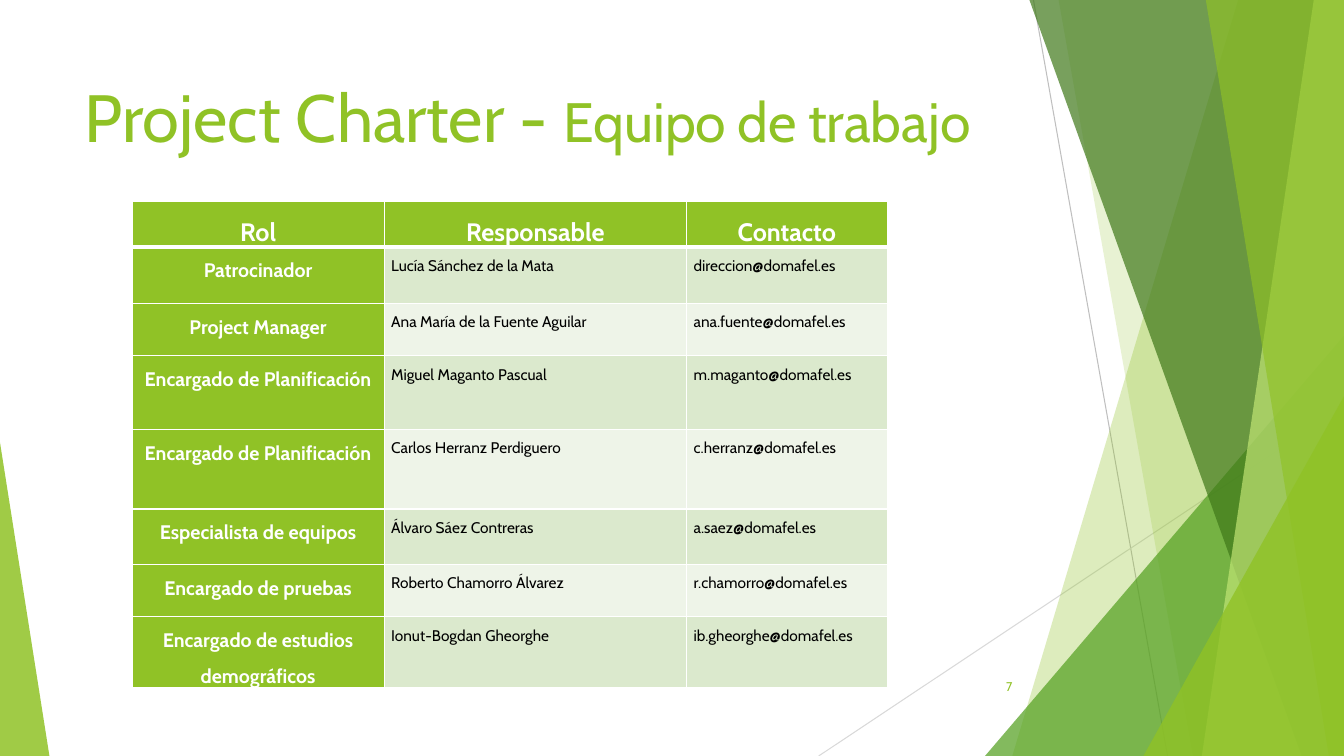
from lxml.etree import SubElement
from pptx import Presentation
from pptx.dml.color import RGBColor
from pptx.enum.shapes import MSO_CONNECTOR, MSO_SHAPE
from pptx.enum.text import MSO_ANCHOR, PP_ALIGN
from pptx.oxml.ns import qn
from pptx.util import Inches, Pt

GREEN = RGBColor(0x90, 0xC2, 0x26)
MID_GREEN = RGBColor(0x54, 0xA0, 0x21)
DARK_GREEN = RGBColor(0x3F, 0x78, 0x19)
LIME = RGBColor(0xC0, 0xE4, 0x74)
BAND_DARK = RGBColor(0xDB, 0xE9, 0xCD)
BAND_LIGHT = RGBColor(0xEE, 0xF4, 0xE8)
GRAY = RGBColor(0xBF, 0xBF, 0xBF)
LIGHT_GRAY = RGBColor(0xD9, 0xD9, 0xD9)
WHITE = RGBColor(0xFF, 0xFF, 0xFF)
BLACK = RGBColor(0, 0, 0)
W, H = 13.33, 7.5


def add_run(p, text, size, color, bold=False):
    r = p.add_run()
    r.text = text
    r.font.name = "Cabin"
    r.font.size = Pt(size)
    r.font.color.rgb = color
    r.font.bold = bold


def paint(sp, color, opacity):
    sp.shadow.inherit = False
    sp.line.fill.background()
    sp.fill.solid()
    sp.fill.fore_color.rgb = color
    clr = sp.fill._xPr.find(qn("a:solidFill"))[0]
    SubElement(clr, qn("a:alpha")).set("val", str(opacity * 1000))


prs = Presentation()
prs.slide_width, prs.slide_height = Inches(W), Inches(H)
slide = prs.slides.add_slide(prs.slide_layouts[6])
shapes = slide.shapes

for x1, y1, x2, color in [(10.25, 0, 11.58, GRAY), (W, 4.03, 8.12, LIGHT_GRAY)]:
    line = shapes.add_connector(MSO_CONNECTOR.STRAIGHT, Inches(x1), Inches(y1), Inches(x2), Inches(H))
    line.line.color.rgb = color
    line.line.width = Pt(0.75)
    SubElement(line._element.spPr, qn("a:effectLst"))

facets = [
    ("band", 12.28, 10.04, GREEN, 30),
    ("band", 10.5, 11.83, GREEN, 20),
    ("triangle", 9.77, 3.33, MID_GREEN, 72),
    ("band", 10.21, 12.91, DARK_GREEN, 70),
    ("band", 13.03, 11.92, LIME, 70),
    ("band", 11.96, 13.18, GREEN, 65),
    ("triangle", 11.34, 3.93, GREEN, 80),
]
for kind, a, b, color, opacity in facets:
    if kind == "band":
        fb = shapes.build_freeform(Inches(a), 0)
        fb.add_line_segments([(Inches(x), Inches(y)) for x, y in [(W, 0), (W, H), (b, H)]])
        sp = fb.convert_to_shape()
    else:
        sp = shapes.add_shape(MSO_SHAPE.ISOSCELES_TRIANGLE, Inches(a), Inches(b), Inches(W - a), Inches(H - b))
        sp.adjustments[0] = 1
    paint(sp, color, opacity)

sp = shapes.add_shape(MSO_SHAPE.ISOSCELES_TRIANGLE, 0, Inches(4.39), Inches(0.49), Inches(3.11))
sp.adjustments[0] = 0
paint(sp, GREEN, 85)

title = shapes.add_textbox(Inches(0.74), Inches(0.67), Inches(9.92), Inches(0.95))
tf = title.text_frame
tf.word_wrap = True
tf.vertical_anchor = MSO_ANCHOR.MIDDLE
for text, size in [("Project Charter - ", 47.7), ("Equipo", 39.6), (" ", 36),
                   ("de", 39.6), (" ", 36), ("trabajo", 39.6)]:
    add_run(tf.paragraphs[0], text, size, GREEN)

team = [
    ("Rol", "Responsable", "Contacto"),
    ("Patrocinador", "Lucía Sánchez de la Mata", "direccion@domafel.es"),
    ("Project Manager", "Ana María de la Fuente Aguilar", "ana.fuente@domafel.es"),
    ("Encargado de Planificación", "Miguel Maganto Pascual", "m.maganto@domafel.es"),
    ("Encargado de Planificación", "Carlos Herranz Perdiguero", "c.herranz@domafel.es"),
    ("Especialista de equipos", "Álvaro Sáez Contreras", "a.saez@domafel.es"),
    ("Encargado de pruebas", "Roberto Chamorro Álvarez", "r.chamorro@domafel.es"),
    ("Encargado de estudios demográficos", "Ionut-Bogdan Gheorghe", "ib.gheorghe@domafel.es"),
]
col_widths = [2.5, 3, 1.99]
row_heights = [0.27, 0.56, 0.52, 0.73, 0.79, 0.55, 0.52, 0.55]
table = shapes.add_table(len(team), len(col_widths), Inches(1.31), Inches(2),
                         Inches(sum(col_widths)), Inches(sum(row_heights))).table
for col, width in zip(table.columns, col_widths):
    col.width = Inches(width)
for row, height in zip(table.rows, row_heights):
    row.height = Inches(height)

for i, member in enumerate(team):
    for j, text in enumerate(member):
        cell = table.cell(i, j)
        header, label = i == 0, i == 0 or j == 0
        cell.margin_left = cell.margin_right = Inches(0.07)
        cell.margin_top = cell.margin_bottom = 0
        cell.vertical_anchor = MSO_ANCHOR.MIDDLE if header else MSO_ANCHOR.TOP
        tcPr = cell._tc.get_or_add_tcPr()
        for side in "LRTB":
            thick = (side == "B" and i == 0) or (side == "T" and i == 1)
            ln = SubElement(tcPr, qn("a:ln" + side), w=str(Pt(3 if thick else 1)))
            SubElement(SubElement(ln, qn("a:solidFill")), qn("a:srgbClr")).set("val", str(WHITE))
        cell.fill.solid()
        cell.fill.fore_color.rgb = GREEN if label else BAND_DARK if i % 2 else BAND_LIGHT
        p = cell.text_frame.paragraphs[0]
        p.line_spacing = 1.5
        p.alignment = PP_ALIGN.CENTER if label else PP_ALIGN.JUSTIFY
        size = 18 if header else 14 if label else 11
        add_run(p, text, size, WHITE if label else BLACK, label)

number = shapes.add_textbox(Inches(9.39), Inches(6.61), Inches(0.75), Inches(0.4))
tf = number.text_frame
tf.word_wrap = True
tf.vertical_anchor = MSO_ANCHOR.MIDDLE
p = tf.paragraphs[0]
p.alignment = PP_ALIGN.RIGHT
add_run(p, "7", 9, GREEN)

prs.save("out.pptx")
